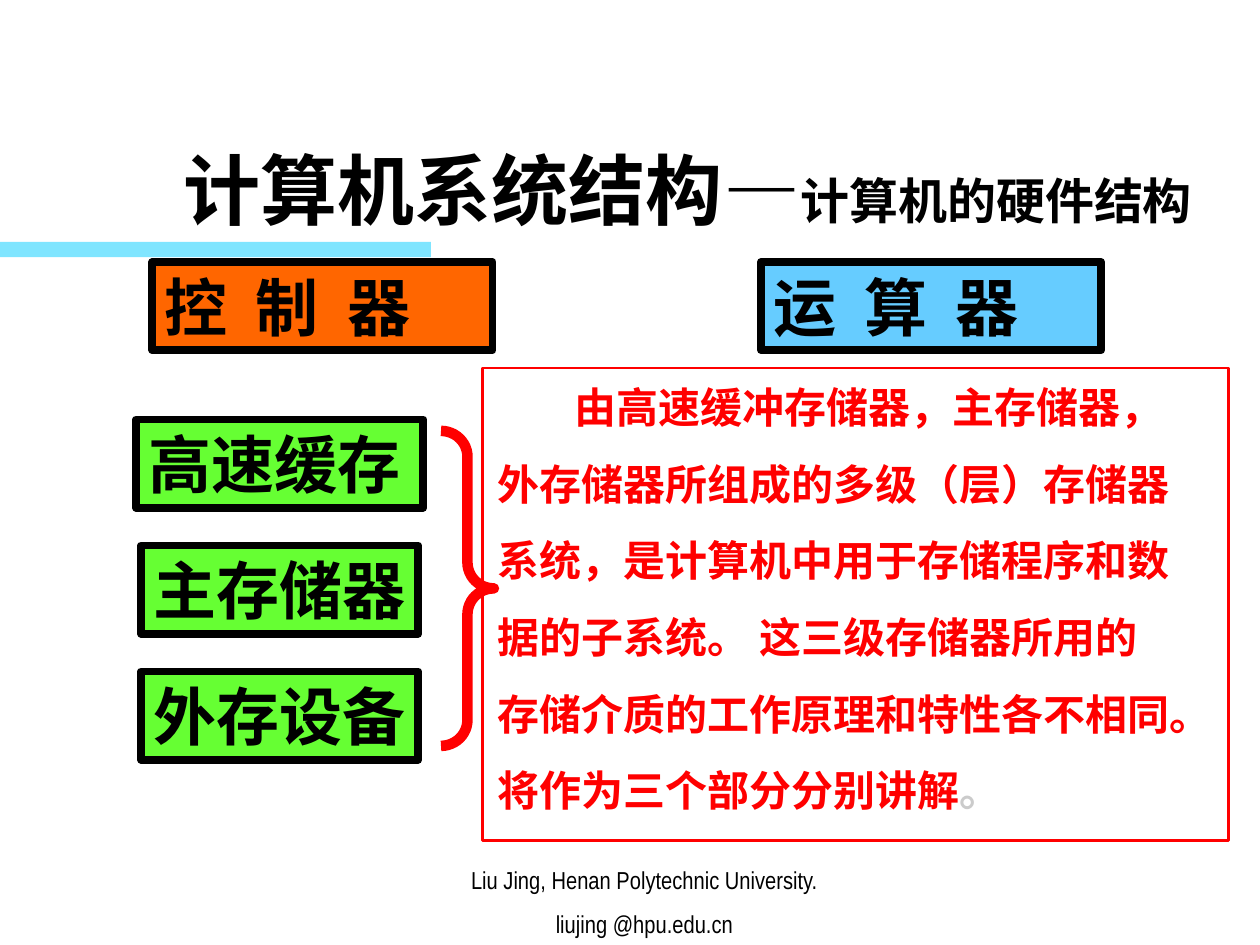
from lxml.etree import SubElement
from pptx import Presentation
from pptx.dml.color import RGBColor
from pptx.enum.shapes import MSO_SHAPE as Preset
from pptx.enum.text import MSO_ANCHOR as Anchor, MSO_AUTO_SIZE as AutoSize, PP_ALIGN as Align
from pptx.oxml.ns import qn
from pptx.util import Inches, Pt

COLORS = {
    "black": "000000", "white": "FFFFFF", "red": "FF0000", "gray": "CBCBCB",
    "orange": "FF6600", "blue": "66CCFF", "green": "66FF33", "cyan": "00CCFF",
}
SERIF = "Times New Roman"


def add_run(paragraph, text, color, **font_values):
    run = paragraph.add_run()
    run.text = text
    run.font.color.rgb = RGBColor.from_string(COLORS[color])
    for name, value in font_values.items():
        setattr(run.font, name, value)
    return run


def add_preset(preset, box, fill=None, line=None, line_width=0):
    shape = slide.shapes.add_shape(preset, *map(Inches, box))
    shape.shadow.inherit = False
    if fill:
        shape.fill.solid()
        shape.fill.fore_color.rgb = RGBColor.from_string(COLORS[fill])
    else:
        shape.fill.background()
    if line:
        shape.line.color.rgb = RGBColor.from_string(COLORS[line])
        shape.line.width = Pt(line_width)
    else:
        shape.line.fill.background()
    return shape


presentation = Presentation()
presentation.slide_width = Inches(10)
presentation.slide_height = Inches(7.5)
slide = presentation.slides.add_slide(presentation.slide_layouts[1])
title = slide.shapes.title
body = slide.placeholders[1]

# Placeholders and footer box: position and frame format
footer = slide.shapes.add_textbox(0, 0, 0, 0)
for shape, box, anchor, wrap in [
    (title, (1.17, 1.08, 8.58, 0.84), Anchor.MIDDLE, True),
    (body, (3.85, 2.98, 5.86, 3.54), Anchor.MIDDLE, False),
    (footer, (3.03, 6.75, 4.17, 0.75), Anchor.BOTTOM, True),
]:
    shape.left, shape.top, shape.width, shape.height = map(Inches, box)
    frame_format = {"auto_size": AutoSize.NONE, "vertical_anchor": anchor, "word_wrap": wrap}
    for name, value in frame_format.items():
        setattr(shape.text_frame, name, value)

# Accent bar under the title
bar = add_preset(Preset.RECTANGLE, (0, 1.92, 3.42, 0.12), "cyan")
bar_color = bar.fill._xPr.find(qn("a:solidFill"))[0]
SubElement(bar_color, qn("a:alpha"), val="50000")

# Title
paragraph = title.text_frame.paragraphs[0]
paragraph.alignment = Align.CENTER
for text, size, font_name in [
    ("计算机系统结构", 44, "Karla"),
    ("—", 44, SERIF),
    ("计算机的硬件结构", 28, "Karla"),
]:
    add_run(paragraph, text, "black", size=Pt(size), name=font_name, bold=True)

# Hardware units: text, box left, top, width, fill, letter spacing in points
add_preset(Preset.RECTANGLE, (3.83, 2.92, 5.92, 3.75), "white", "red", 1.5)
for text, left, top, width, fill, spacing in [
    ("控 制 器", 1.21, 2.08, 2.7, "orange", 4),
    ("运 算 器", 6.04, 2.08, 2.7, "blue", 4),
    ("高速缓存", 1.08, 3.33, 2.28, "green", 0),
    ("主存储器", 1.12, 4.33, 2.2, "green", 0),
    ("外存设备", 1.12, 5.33, 2.2, "green", 0),
]:
    unit = add_preset(Preset.RECTANGLE, (left, top, width, 0.7), fill, "black", 4.5)
    unit.text_frame.word_wrap = False
    unit.text_frame.vertical_anchor = Anchor.TOP
    paragraph = unit.text_frame.paragraphs[0]
    paragraph.alignment = Align.LEFT
    run = add_run(paragraph, text, "black", size=Pt(36), name=SERIF, bold=True)
    run._r.get_or_add_rPr().set("spc", str(spacing * 100))

# Description of the storage hierarchy, above its panel
slide.shapes._spTree.append(body._element)
body_lines = [
    "由高速缓冲存储器，主存储器，",
    "外存储器所组成的多级（层）存储器",
    "系统，是计算机中用于存储程序和数",
    "据的子系统。 这三级存储器所用的",
    "存储介质的工作原理和特性各不相同。",
    "将作为三个部分分别讲解",
]
body_font = {"size": Pt(24), "name": SERIF, "bold": True}
for index, text in enumerate(body_lines):
    paragraph = body.text_frame.add_paragraph() if index else body.text_frame.paragraphs[0]
    properties = paragraph._p.get_or_add_pPr()
    properties.set("marL", "0")
    properties.set("indent", str(0 if index else Inches(0.61)))
    SubElement(properties, qn("a:buNone"))
    paragraph.space_before = Pt(15 if index else 0)
    add_run(paragraph, text, "red", **body_font)
add_run(paragraph, "。", "gray", **body_font)

# Brace joining the three storage levels
brace = add_preset(Preset.RIGHT_BRACE, (3.5, 3.42, 0.42, 2.5), line="red", line_width=6)
brace.adjustments[0] = 0.49
brace.adjustments[1] = 0.5

# Footer
for index, text in enumerate(["Liu Jing, Henan Polytechnic University.", "liujing @hpu.edu.cn"]):
    paragraph = footer.text_frame.add_paragraph() if index else footer.text_frame.paragraphs[0]
    paragraph.alignment = Align.CENTER
    paragraph.space_before = Pt(8.8 if index else 0)
    add_run(paragraph, text, "black", size=Pt(14), name="Arial Narrow")

presentation.save("out.pptx")
